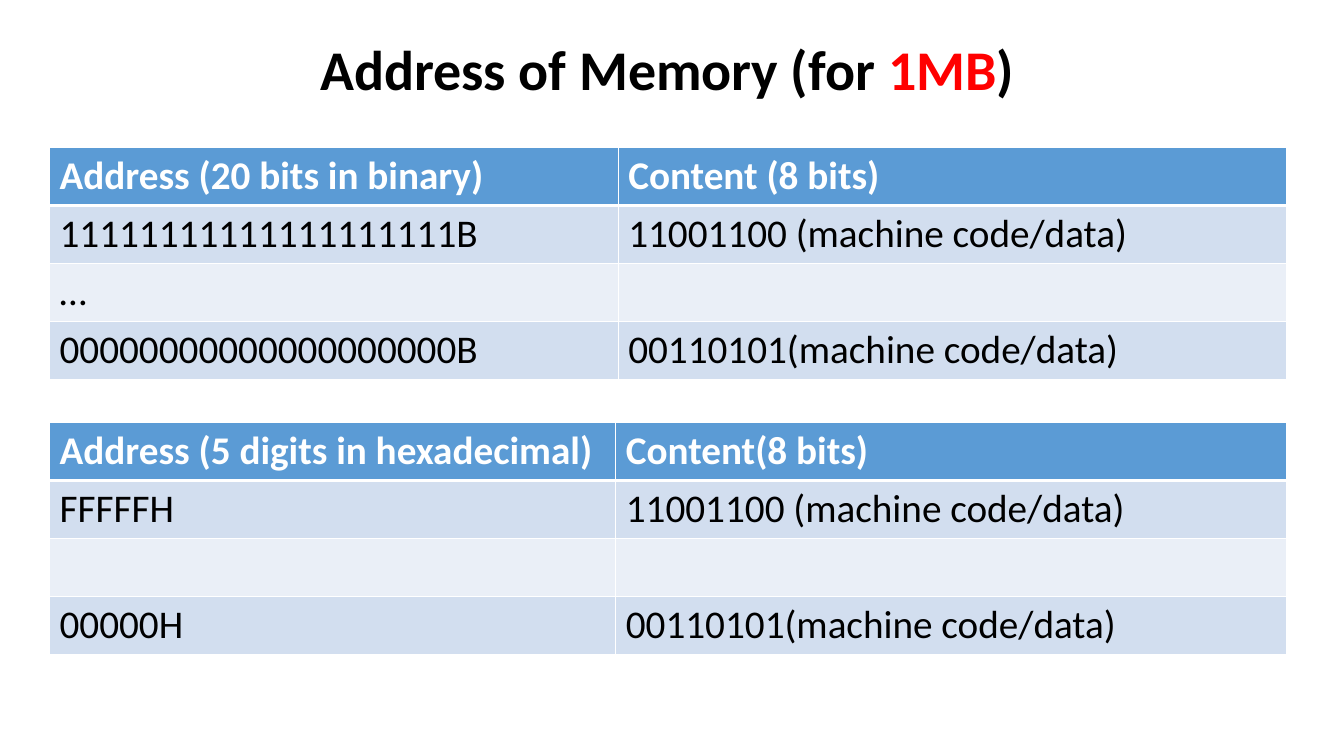
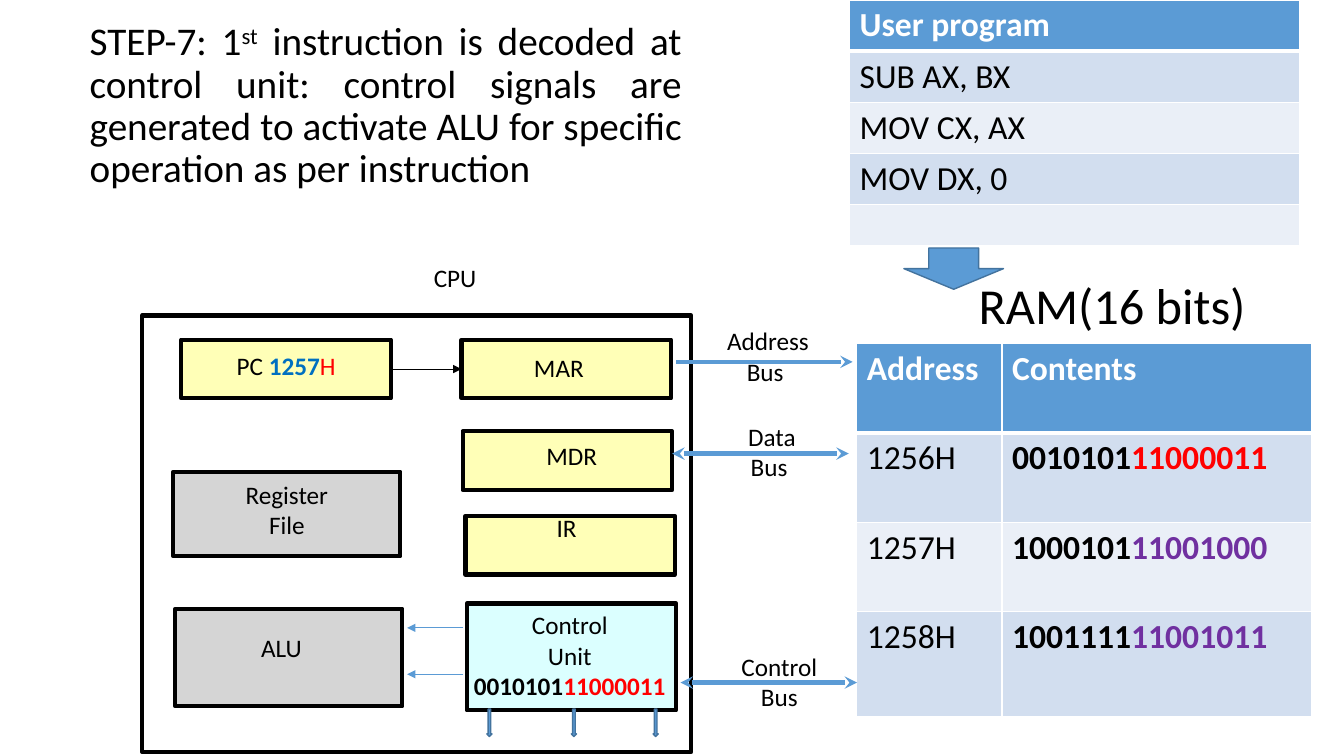
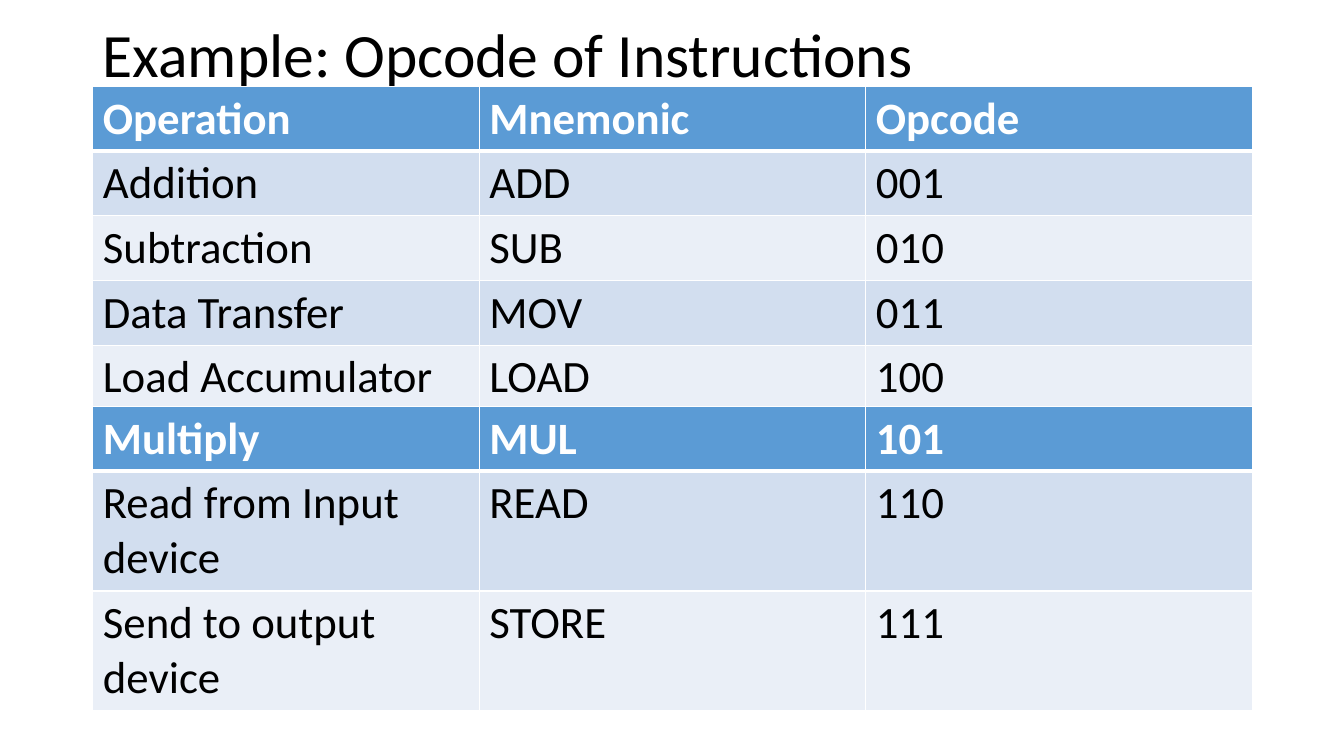
"""Build three slides on memory addresses, instruction decoding and opcodes."""
import pptx
import pptx.util
import pptx.dml.color
import pptx.enum.shapes
import pptx.enum.text
import pptx.oxml
import pptx.oxml.ns

Cm = pptx.util.Cm
Pt = pptx.util.Pt
RGB = pptx.dml.color.RGBColor
Align = pptx.enum.text.PP_ALIGN
Anchor = pptx.enum.text.MSO_ANCHOR
Kind = pptx.enum.shapes.MSO_SHAPE

BLACK = RGB(0x00, 0x00, 0x00)
WHITE = RGB(0xFF, 0xFF, 0xFF)
RED = RGB(0xFF, 0x00, 0x00)
PURPLE = RGB(0x70, 0x30, 0xA0)
NAVY = RGB(0x00, 0x70, 0xC0)
BLUE = RGB(0x5B, 0x9B, 0xD5)
EDGE = RGB(0x43, 0x73, 0x9E)
BAND = RGB(0xD2, 0xDE, 0xEF)
PALE = RGB(0xEA, 0xEF, 0xF7)
GRAY = RGB(0xC4, 0xC4, 0xC4)
CYAN = RGB(0xCC, 0xFF, 0xFF)
YELLOW = RGB(0xFF, 0xFF, 0x99)

FONT = "Calibri"
LABEL = {"size": Pt(18)}
TITLE = {"anchor": Anchor.MIDDLE}


def put(item, vals):
    for key, val in vals.items():
        setattr(item, key, val)


def node(tag, **attrs):
    item = pptx.oxml.parse_xml(f"<a:{tag} {pptx.oxml.ns.nsdecls('a')}/>")
    for key, val in attrs.items():
        item.set(key, str(val))
    return item


def write(frame, paras, font, form):
    for num, runs in enumerate(paras):
        para = frame.add_paragraph() if num else frame.paragraphs[0]
        put(para, form)
        for part in [runs] if isinstance(runs, str) else runs:
            text, diff = (part, {}) if isinstance(part, str) else part
            vals = {"name": FONT, "color": BLACK, **font, **diff}
            run = para.add_run()
            run.text = text
            run.font.color.rgb = vals.pop("color")
            base = vals.pop("base", 0)
            put(run.font, vals)
            if base:
                run._r.get_or_add_rPr().set("baseline", str(base))


def add_text(slide, area, paras, font=LABEL, form=None, wrap=True, box=None):
    frame = slide.shapes.add_textbox(*map(Cm, area)).text_frame
    put(frame, {"word_wrap": wrap, **(box or {})})
    write(frame, paras, font, {"alignment": Align.CENTER, **(form or {})})


def add_title(slide, area, runs, font, align, space=0.9):
    form = {"alignment": align, "line_spacing": space}
    add_text(slide, area, [runs], font, form, box=TITLE)


def add_block(slide, kind, area, fill=None, line=BLACK, width=3, alpha=None):
    shape = slide.shapes.add_shape(kind, *map(Cm, area))
    shape.shadow.inherit = False
    shape.line.color.rgb = line
    shape.line.width = Pt(width)
    if fill is None:
        shape.fill.background()
    else:
        shape.fill.solid()
        shape.fill.fore_color.rgb = fill
    if alpha:
        clr = shape._element.spPr.find(".//" + pptx.oxml.ns.qn("a:srgbClr"))
        clr.append(node("alpha", val=alpha * 1000))
    return shape


def add_arrow(slide, ends, color, width, tail, head=None):
    kind = pptx.enum.shapes.MSO_CONNECTOR.STRAIGHT
    arrow = slide.shapes.add_connector(kind, *map(Cm, ends))
    arrow.line.color.rgb = color
    arrow.line.width = Pt(width)
    line = arrow.line._get_or_add_ln()
    if head:
        line.append(node("headEnd", type=head))
    line.append(node("tailEnd", type=tail))
    arrow._element.spPr.append(node("effectLst"))
    return arrow


def add_edges(cell, row):
    props = cell._tc.get_or_add_tcPr()
    sizes = {"lnL": 1, "lnR": 1, "lnT": 3 if row == 1 else 1, "lnB": 1 if row else 3}
    for num, (tag, size) in enumerate(sizes.items()):
        edge, fill = node(tag, w=Pt(size)), node("solidFill")
        fill.append(node("srgbClr", val=WHITE))
        edge.append(fill)
        props.insert(num, edge)


def add_grid(slide, left, top, cols, highs, rows, size):
    area = map(Cm, (left, top, sum(cols), sum(highs)))
    table = slide.shapes.add_table(len(rows), len(cols), *area).table
    for col, wide in zip(table.columns, cols):
        col.width = Cm(wide)
    for num, (high, texts) in enumerate(zip(highs, rows)):
        table.rows[num].height = Cm(high)
        font = {"size": Pt(size), "bold": not num, "color": BLACK if num else WHITE}
        for cell, text in zip(table.rows[num].cells, texts):
            cell.fill.solid()
            cell.fill.fore_color.rgb = (BAND if num % 2 else PALE) if num else BLUE
            add_edges(cell, num)
            if text:
                write(cell.text_frame, [text], font, {})


def code(first, last, color):
    return [(first, {"bold": True}), (last, {"bold": True, "color": color})]


def memory(slide):
    add_title(slide, (6.02, 0.94, 21.59, 2.11),
              ["Address of Memory (for ", ("1MB", {"color": RED}), ")"],
              {"size": Pt(40), "bold": True}, Align.CENTER)
    high, low = "11001100 (machine code/data)", "00110101(machine code/data)"
    grids = [
        (3.72, (14.33, 16.84), [
            ("Address (20 bits in binary)", "Content (8 bits)"),
            ("1" * 20 + "B", high), ("…", ""), ("0" * 20 + "B", low)]),
        (10.65, (14.27, 16.9), [
            ("Address (5 digits in hexadecimal)", "Content(8 bits)"),
            ("FFFFFH", high), ("", ""), ("00000H", low)]),
    ]
    for top, cols, rows in grids:
        add_grid(slide, 1.25, top, cols, [1.46] * 4, rows, 28)


def units(slide):
    add_block(slide, Kind.RECTANGLE, (3.58, 7.95, 13.84, 11))
    areas = {
        "file": (GRAY, (4.37, 11.89, 5.72, 2.13)),
        "alu": (GRAY, (4.42, 15.34, 5.72, 2.46)),
        "unit": (CYAN, (11.76, 15.21, 5.28, 2.69)),
        "ir": (YELLOW, (11.73, 13, 5.28, 1.48)),
        "pc": (YELLOW, (4.57, 8.56, 5.28, 1.48)),
        "mar": (YELLOW, (11.63, 8.56, 5.28, 1.48)),
        "mdr": (YELLOW, (11.66, 10.87, 5.28, 1.48)),
    }
    blocks = {key: add_block(slide, Kind.RECTANGLE, area, fill, alpha=70)
              for key, (fill, area) in areas.items()}
    link = add_arrow(slide, (9.85, 9.3, 11.63, 9.3), BLACK, 0.5, "triangle")
    link.begin_connect(blocks["pc"], 3)
    link.end_connect(blocks["mar"], 1)
    for top in (15.82, 16.99):
        add_arrow(slide, (11.68, top, 10.26, top), BLUE, 0.5, "triangle")
    for left in (12.27, 14.4, 16.46):
        add_block(slide, Kind.DOWN_ARROW, (left, 17.87, 0.13, 0.69), BLUE, EDGE, 1)


def labels(slide):
    count = ["PC ", ("1257", {"color": NAVY, "bold": True}), ("H", {"color": RED})]
    wide = [
        ((11.68, 15.24, 5.36, 3.33), ["Control", "Unit", code("0010101", "11000011", RED)]),
        ((11.51, 12.78, 5.54, 1.02), ["IR"]),
        ((4.57, 8.71, 5.28, 1.02), [count]),
        ((11.76, 8.76, 4.65, 1.02), ["MAR"]),
    ]
    tight = [
        ((10.67, 6.48, 1.6, 1.02), ["CPU"]),
        ((5.92, 11.96, 2.62, 1.8), ["Register", "File"]),
        ((6.32, 15.82, 1.55, 1.02), ["ALU"]),
        ((13.51, 10.97, 1.8, 1.02), ["MDR"]),
        ((18.59, 10.49, 1.73, 1.8), ["Data", "Bus "]),
        ((18.06, 8.08, 2.59, 1.8), ["Address", "Bus "]),
        ((18.42, 16.28, 2.44, 1.8), ["Control", "Bus"]),
    ]
    for wrap, items in ((True, wide), (False, tight)):
        for area, paras in items:
            add_text(slide, area, paras, wrap=wrap)


def decode(slide):
    add_title(slide, (2.01, 0.43, 15.42, 5.69),
              ["STEP-7: 1", ("st", {"base": 30000}),
               " instruction is decoded at control unit: control signals are generated "
               "to activate ALU for specific operation as per instruction"],
              {"size": Pt(28)}, Align.JUSTIFY)
    lines = ["User program", "SUB AX, BX", "MOV CX, AX", "MOV DX, 0", ""]
    add_grid(slide, 21.41, 0, [11.33], [1.29] * 4 + [1.03], [[line] for line in lines], 24)
    rows = [
        ("Address", "Contents"),
        ("1256H", code("0010101", "11000011", RED)),
        ("1257H", code("1000101", "11001000", PURPLE)),
        ("1258H", code("1001111", "11001011", PURPLE)),
    ]
    add_grid(slide, 21.59, 8.66, [3.66, 7.8], [2.25] * 3 + [2.65], rows, 24)
    add_block(slide, Kind.DOWN_ARROW, (22.78, 6.25, 2.51, 1.04), BLUE, EDGE, 1)
    add_title(slide, (24.03, 7.21, 8, 1.45), "RAM(16 bits)",
              {"size": Pt(36)}, Align.CENTER, 0.7)
    units(slide)
    labels(slide)
    buses = [(17.04, 9.12, None), (16.94, 11.43, "stealth"), (17.15, 17.2, "stealth")]
    for left, top, head in buses:
        add_arrow(slide, (left, top, left + 4.45, top), BLUE, 3, "stealth", head)


def opcodes(slide):
    add_title(slide, (2.34, 0.48, 29.21, 1.98), "Example: Opcode of Instructions",
              {"size": Pt(44)}, Align.LEFT)
    upper = [
        ("Operation", "Mnemonic", "Opcode"),
        ("Addition", "ADD", "001"),
        ("Subtraction", "SUB", "010"),
        ("Data Transfer", "MOV", "011"),
        ("Load Accumulator", "LOAD", "100"),
    ]
    lower = [
        ("Multiply", "MUL", "101"),
        ("Read from Input device", "READ", "110"),
        ("Send to output device", "STORE", "111"),
    ]
    grids = [(2.18, [1.63] * 5, upper), (10.24, [1.63, 3.02, 3.02], lower)]
    for top, highs, rows in grids:
        add_grid(slide, 2.34, top, [9.74] * 3, highs, rows, 32)


def main():
    deck = pptx.Presentation()
    put(deck, {"slide_width": Cm(33.87), "slide_height": Cm(19.05)})
    for draw in (memory, decode, opcodes):
        draw(deck.slides.add_slide(deck.slide_layouts[6]))
    deck.save("out.pptx")


if __name__ == "__main__":
    main()
